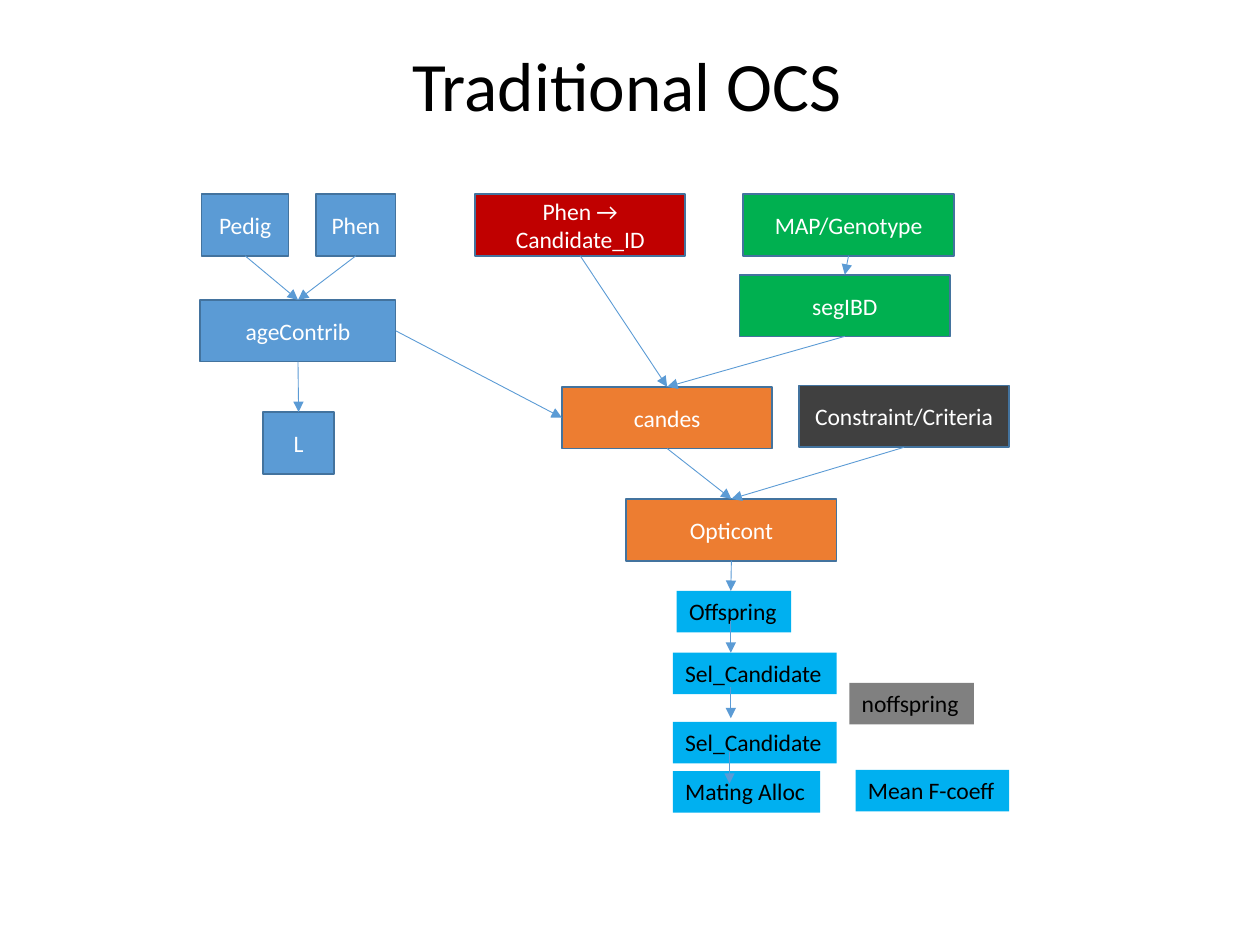
from lxml import etree
from pptx import Presentation
from pptx import util as u
from pptx.dml.color import RGBColor
from pptx.enum import shapes, text
from pptx.oxml.ns import qn

COLOURS = {
    "blue": "5B9BD5", "outline": "43739E", "red": "C00000", "green": "00B050",
    "orange": "ED7D31", "charcoal": "404040", "sky": "00B0F0",
    "grey": "808080", "white": "FFFFFF", "black": "000000",
}
TOP, LEFT, BOTTOM, RIGHT = 0, 1, 2, 3
CELL = 0.1  # inches: the slide is a grid of 100 columns by 75 rows
BOX_HEIGHT, WIDE, TAG_HEIGHT = 4.9, 16.7, 3.3


class Flowchart:
    """Style and current slide; positions are in grid columns and rows."""

    font, body_size, title_size = "Calibri", 13.5, 39.6

    def __init__(self, slide):
        self.slide = slide

    def grid(self, *cells):
        return [u.Inches(cell * CELL) for cell in cells]

    def colour(self, name):
        return RGBColor.from_string(COLOURS[name])

    def fill(self, shape, name):
        shape.fill.solid()
        shape.fill.fore_color.rgb = self.colour(name)

    def add_words(self, shape, words, colour, size, align):
        para = shape.text_frame.paragraphs[0]
        para.alignment = align
        span = para.add_run()
        span.text = words
        span.font.name = self.font
        span.font.size = u.Pt(size)
        span.font.color.rgb = self.colour(colour)
        return para

    def title(self, words, col, row, width, height):
        box = self.slide.shapes.add_textbox(*self.grid(col, row, width, height))
        box.text_frame.word_wrap = True
        box.text_frame.vertical_anchor = text.MSO_ANCHOR.MIDDLE
        para = self.add_words(box, words, "black", self.title_size, text.PP_ALIGN.CENTER)
        para.line_spacing = 0.9

    def step(self, words, colour, col, row, width=WIDE):
        box = self.slide.shapes.add_shape(
            shapes.MSO_SHAPE.RECTANGLE, *self.grid(col, row, width, BOX_HEIGHT))
        box.shadow.inherit = False
        self.fill(box, colour)
        box.line.color.rgb = self.colour("outline")
        box.line.width = u.Pt(1)
        box.text_frame.word_wrap = True
        box.text_frame.vertical_anchor = text.MSO_ANCHOR.MIDDLE
        self.add_words(box, words, "white", self.body_size, text.PP_ALIGN.CENTER)
        return box

    def tag(self, words, colour, col, row, width):
        box = self.slide.shapes.add_textbox(*self.grid(col, row, width, TAG_HEIGHT))
        self.fill(box, colour)
        box.text_frame.word_wrap = False
        box.text_frame.auto_size = text.MSO_AUTO_SIZE.SHAPE_TO_FIT_TEXT
        self.add_words(box, words, "black", self.body_size, text.PP_ALIGN.LEFT)

    def arrow(self, start, end):
        """Draw an arrow between two (col, row) points."""
        line = self.slide.shapes.add_connector(
            shapes.MSO_CONNECTOR.STRAIGHT, *self.grid(*start, *end))
        line.line.color.rgb = self.colour("blue")
        line.line.width = u.Pt(0.5)
        etree.SubElement(line.get_or_add_ln(), qn("a:tailEnd"), type="triangle")
        etree.SubElement(line._element.spPr, qn("a:effectLst"))
        return line

    def link(self, source, target, source_side=BOTTOM, target_side=TOP):
        line = self.arrow((0, 0), (1, 1))
        line.begin_connect(source, source_side)
        line.end_connect(target, target_side)


def main():
    deck = Presentation()
    deck.slide_width, deck.slide_height = u.Inches(10), u.Inches(7.5)
    page = Flowchart(deck.slides.add_slide(deck.slide_layouts[6]))
    page.title("Traditional OCS", 17.4, 4.6, 64.7, 5)

    # Inputs and functions
    pedig = page.step("Pedig", "blue", 16, 15.4, 6.9)
    phen = page.step("Phen", "blue", 25.1, 15.4, 6.3)
    contrib = page.step("ageContrib", "blue", 15.9, 23.8, 15.5)
    length = page.step("L", "blue", 20.9, 32.7, 5.6)
    candidate = page.step("Phen → Candidate_ID", "red", 37.7, 15.4)
    genotype = page.step("MAP/Genotype", "green", 59, 15.4)
    seg_ibd = page.step("segIBD", "green", 58.7, 21.8)
    candes = page.step("candes", "orange", 44.6, 30.7)
    criteria = page.step("Constraint/Criteria", "charcoal", 63.4, 30.6)
    opticont = page.step("Opticont", "orange", 49.7, 39.6)

    # Results
    for tag in (
        ("Offspring", "sky", 53.7, 46.9, 9.1),
        ("Sel_Candidate", "sky", 53.4, 51.8, 13),
        ("Sel_Candidate", "sky", 53.4, 57.3, 13),
        ("noffspring", "grey", 67.4, 54.2, 9.9),
        ("Mating Alloc", "sky", 53.4, 61.2, 11.7),
        ("Mean F-coeff", "sky", 67.9, 61.1, 12.2),
    ):
        page.tag(*tag)

    # Arrows between the boxes
    for source, target in (
        (pedig, contrib), (phen, contrib), (contrib, length),
        (genotype, seg_ibd), (seg_ibd, candes), (candidate, candes),
        (candes, opticont), (criteria, opticont),
    ):
        page.link(source, target)
    page.link(contrib, candes, RIGHT, LEFT)

    # Arrows down the results
    page.arrow((58, 44.5), (58, 46.9)).begin_connect(opticont, BOTTOM)
    for col, row in ((58, 49.3), (58, 54.5), (57.9, 59.7)):
        page.arrow((col, row), (col, row + 2.5))

    deck.save("out.pptx")


if __name__ == "__main__":
    main()
